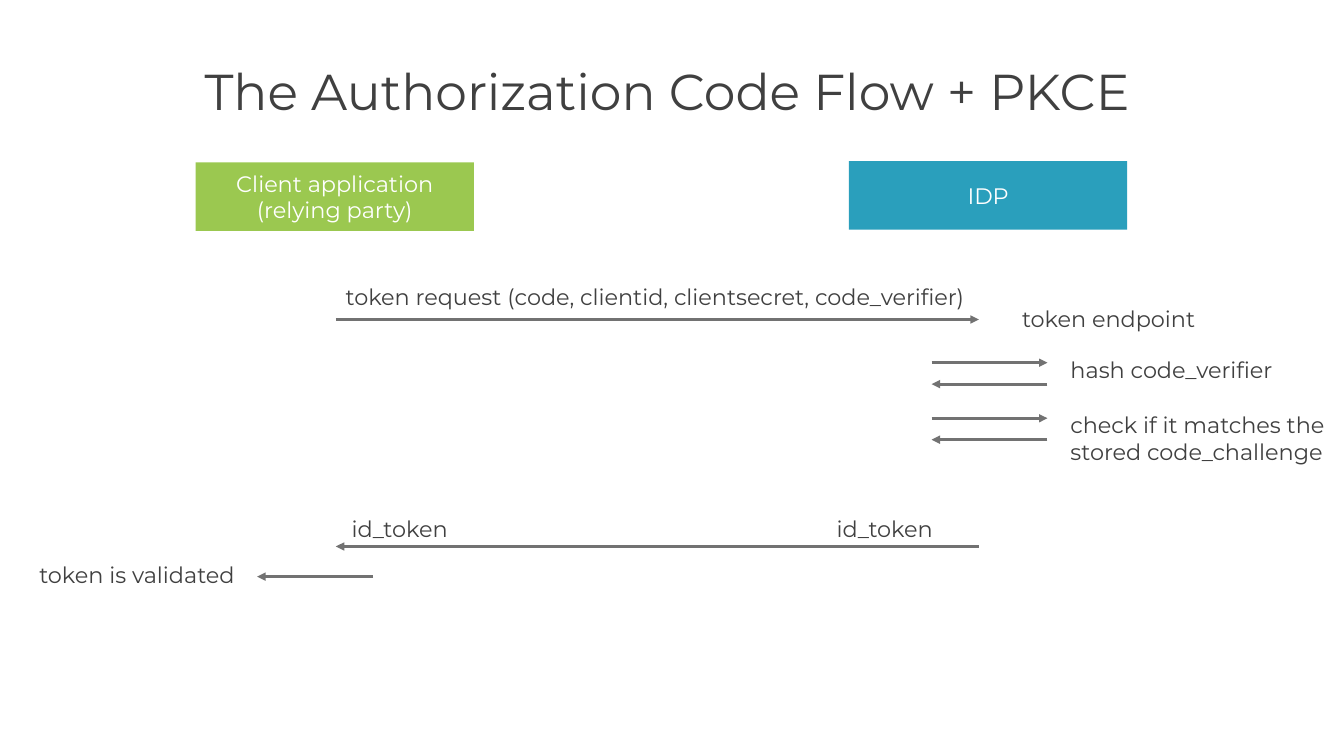
from dataclasses import dataclass

from lxml.etree import SubElement
from pptx import Presentation
from pptx.dml.color import RGBColor as Rgb
from pptx.enum.shapes import MSO_CONNECTOR as Link, MSO_SHAPE as Form
from pptx.enum.text import MSO_ANCHOR as Anchor, MSO_AUTO_SIZE as Fit, PP_ALIGN as Align
from pptx.oxml.ns import qn
from pptx.util import Cm, Pt


@dataclass(frozen=True)
class Theme:
    font: str = "Montserrat"
    ink: Rgb = Rgb(0x40, 0x40, 0x40)
    line: Rgb = Rgb(0x72, 0x72, 0x72)
    white: Rgb = Rgb(0xFF, 0xFF, 0xFF)
    green: Rgb = Rgb(0x9B, 0xC8, 0x50)
    blue: Rgb = Rgb(0x2A, 0x9F, 0xBC)
    head: Pt = Pt(36)
    body: Pt = Pt(16)
    rule: Pt = Pt(2)


THEME = Theme()
WIDE, HIGH = 33.86, 19.05
CLIENT, IDP = 8.46, 24.66
LOOP, SPAN = 23.47, 2.92
NOTE = 26.72


def write(frame, text, size, color, align):
    frame.text = text
    frame.word_wrap = True
    for para in frame.paragraphs:
        para.alignment = align
        for run in para.runs:
            run.font.name = THEME.font
            run.font.size = size
            run.font.color.rgb = color


def add_title(slide, text):
    title = slide.shapes.title
    title.left, title.top = Cm(1.96), Cm(1.63)
    title.width, title.height = Cm(29.95), Cm(1.22)
    frame = title.text_frame
    write(frame, text, THEME.head, THEME.ink, Align.CENTER)
    frame.auto_size = Fit.NONE
    frame.vertical_anchor = Anchor.TOP
    frame.margin_left = 0
    frame.paragraphs[0].line_spacing = 0.85


def add_party(slide, text, left, top, fill):
    box = slide.shapes.add_shape(Form.RECTANGLE, Cm(left), Cm(top), Cm(7.01), Cm(1.73))
    box.shadow.inherit = False
    box.fill.solid()
    box.fill.fore_color.rgb = fill
    box.line.fill.background()
    frame = box.text_frame
    write(frame, text, THEME.body, THEME.white, Align.CENTER)
    frame.vertical_anchor = Anchor.MIDDLE
    frame.margin_left = frame.margin_right = Cm(0.51)
    frame.margin_top = frame.margin_bottom = Cm(0.51)


def add_label(slide, text, left, top, width, height=0.94):
    box = slide.shapes.add_textbox(Cm(left), Cm(top), Cm(width), Cm(height))
    write(box.text_frame, text, THEME.body, THEME.ink, Align.LEFT)
    box.text_frame.auto_size = Fit.SHAPE_TO_FIT_TEXT


def add_arrow(slide, start, end, top):
    arrow = slide.shapes.add_connector(Link.STRAIGHT, Cm(start), Cm(top), Cm(end), Cm(top))
    arrow.line.color.rgb = THEME.line
    arrow.line.width = THEME.rule
    SubElement(arrow.line._get_or_add_ln(), qn("a:tailEnd"), type="triangle")
    SubElement(arrow._element.spPr, qn("a:effectLst"))


def add_check(slide, text, top, height=0.94):
    add_arrow(slide, LOOP, LOOP + SPAN, top)
    add_arrow(slide, LOOP + SPAN, LOOP, top + 0.54)
    add_label(slide, text, NOTE, top - 0.3, WIDE - NOTE, height)


def main():
    deck = Presentation()
    deck.slide_width, deck.slide_height = Cm(WIDE), Cm(HIGH)
    slide = deck.slides.add_slide(deck.slide_layouts[5])

    add_title(slide, "The Authorization Code Flow + PKCE")
    add_party(slide, "Client application (relying party)", 4.93, 4.09, THEME.green)
    add_party(slide, "IDP", 21.39, 4.06, THEME.blue)

    add_arrow(slide, CLIENT, IDP, 8.05)
    add_label(slide, "token request (code, clientid, clientsecret, code_verifier)", CLIENT, 7.01, 16.56)
    add_label(slide, "token endpoint", 25.5, 7.57, WIDE - 25.5)

    add_check(slide, "hash code_verifier", 9.14)
    add_check(slide, "check if it matches the stored code_challenge", 10.54, 1.63)

    add_arrow(slide, IDP, CLIENT, 13.77)
    add_label(slide, "id_token", 20.83, 12.85, 3.33)
    add_label(slide, "id_token", 8.61, 12.85, 8.76)
    add_arrow(slide, 6.48 + SPAN, 6.48, 14.53)
    add_label(slide, "token is validated", 0.74, 14.02, 6.25)

    deck.save("out.pptx")


if __name__ == "__main__":
    main()
